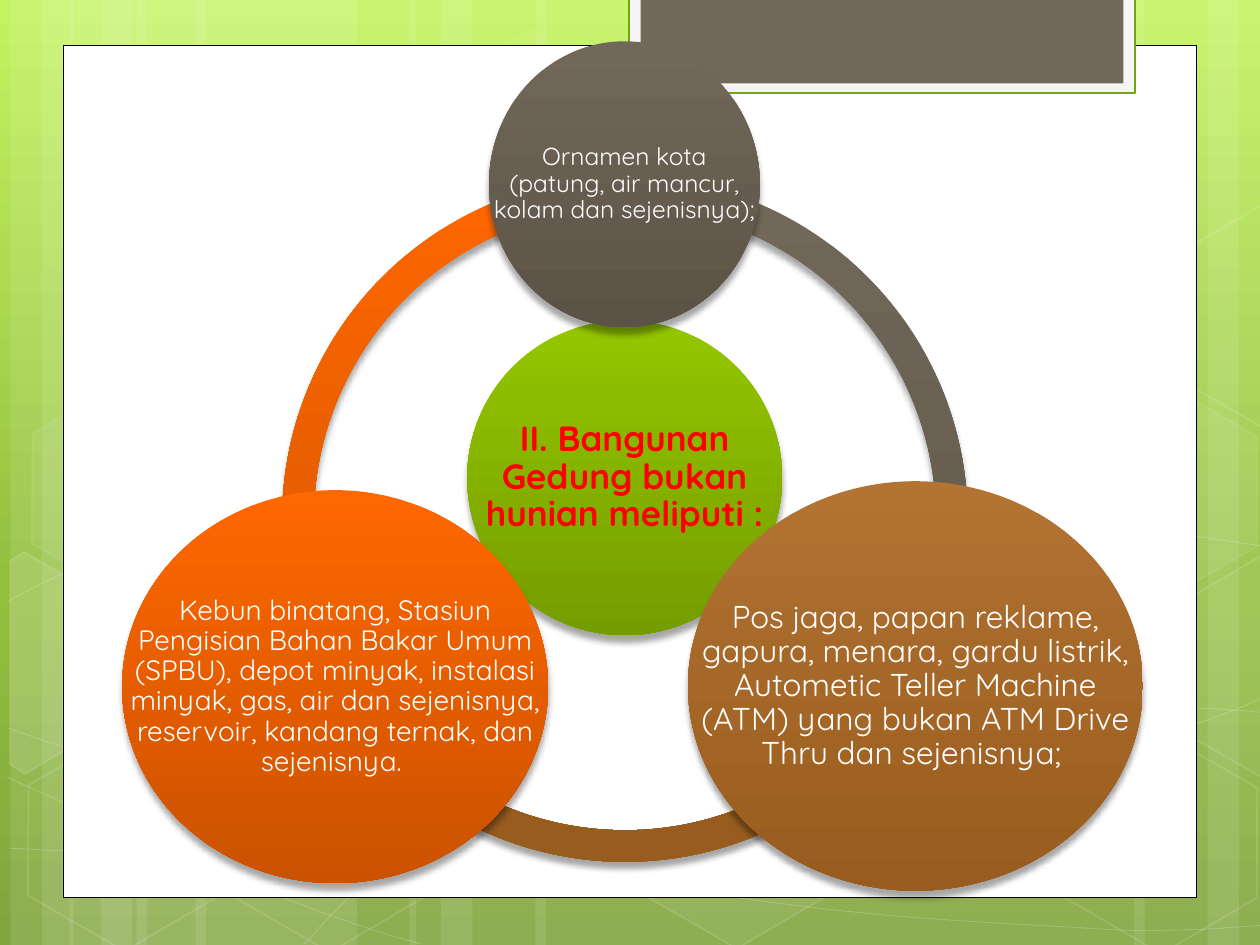
import pptx
import pptx.util
import pptx.dml.color
import pptx.enum.shapes
import pptx.enum.text
import copy
import math
import lxml.etree

Pt = pptx.util.Pt
RGBColor = pptx.dml.color.RGBColor
KIND = pptx.enum.shapes.MSO_SHAPE
A = "{http://schemas.openxmlformats.org/drawingml/2006/main}"

WHITE = RGBColor(0xFF, 0xFF, 0xFF)
BLACK = RGBColor(0, 0, 0)
RED = RGBColor(0xFF, 0, 0)
PALE = RGBColor(0xF5, 0xF5, 0xF5)
EDGE = RGBColor(0x74, 0xA5, 0x10)
STONE = RGBColor(0x71, 0x68, 0x5A)
GRAY = (STONE, RGBColor(0x5C, 0x53, 0x46))
BROWN = (RGBColor(0xB2, 0x73, 0x33), RGBColor(0x98, 0x5C, 0x1E))
ORANGE = (RGBColor(0xFF, 0x67, 0), RGBColor(0xCB, 0x52, 0))
GREEN = (RGBColor(0x94, 0xC6, 0), RGBColor(0x76, 0x9D, 0))
BACK = (RGBColor(0xC3, 0xF3, 0x5F), RGBColor(0x93, 0xBF, 0x3F), RGBColor(0x81, 0xA5, 0x3E))

BANDS = [(78, 126, 0), (6, 36, 0), (24, 60, 0), (111.6, 126, 0), (39.6, 36, 0), (57.6, 60, 0),
         (528, 126, 180), (690, 36, 180), (648, 60, 180), (306, 222, 0), (234, 36, 0),
         (252, 60, 0)]

WAVES = [
    [(5, 484.6), (43.9, 486.7), (82.8, 488.9), (136.8, 488.2), (190.8, 487.4), (257.8, 486),
     (329.8, 478.8), (401.8, 471.6), (504, 457.9), (570.2, 444.2), (635.8, 430.6),
     (703.4, 409), (725, 396.7)],
    [(5, 343.4), (25.9, 332), (46.8, 321.1), (87.1, 310.3), (128.2, 299.5), (186.5, 283.7),
     (249.8, 278.6), (313.9, 273.6), (391.7, 272.9), (470.9, 278.6), (550.1, 284.4),
     (681.8, 306.7), (725, 312.5)],
    [(4.3, 444.2), (91.4, 483.8), (177.8, 523.4), (240.5, 539.3)],
    [(5, 416.2), (27.4, 424.1), (50.4, 432), (92.2, 443.5), (133.9, 454.3), (196.6, 472.3),
     (257, 484.6), (316.8, 496.8), (392.4, 509.8), (452.2, 517), (511.9, 524.9), (576, 527.8),
     (614.2, 529.9), (651.6, 532.8), (661.7, 531.4), (680.4, 531.4), (699.1, 530.6),
     (712.1, 529.2), (725, 528.5)],
    [(174.2, 539.3), (187.2, 524.9), (200.2, 510.5), (217.4, 497.5), (234.7, 484.6),
     (259.2, 470.2), (279.4, 460.1), (299.5, 450), (311.8, 445.7), (338.4, 438.5),
     (364.3, 431.3), (412.6, 421.2), (437.8, 416.2), (463.7, 411.1), (467.3, 411.1),
     (489.6, 409.7), (511.9, 407.5), (547.2, 405.4), (571.7, 404.6), (596.9, 403.9),
     (637.9, 404.6), (637.9, 404.6), (654, 404.6), (670, 404.6), (686.2, 404.6),
     (699.1, 405.4), (711.4, 406.1), (717.8, 406.8), (724.3, 407.5), (722.2, 406.8),
     (724.3, 407.5)],
]

HEXES = [(240.5, 25.9, 4, 8), (357.8, 424.1, 6, 12), (7.9, 425.5, 0, 12), (10.1, 224.6, 7, 8),
         (125.3, 426.2, 0, 12), (542.2, 326.2, 10, 12), (600.5, 427, 0, 12), (600.5, 226.1, 7, 8)]

LEFT = [(5.8, 320.4), (13.7, 315.4), (69.1, 347), (68.4, 410.4), (14.4, 442.1), (5.8, 437)]
RIGHT = [(666.7, 349.2), (720.7, 317.5), (726.5, 321.1), (726.5, 441.4), (721.4, 444.2),
         (666.7, 412.6)]
UPPER = [(x, y - 200.2) for x, y in RIGHT]
PARTS = [(LEFT, (25.9, 385.2), 10), (RIGHT, (709.2, 374.4), 4), (UPPER, (709.2, 174.2), 0)]

ARCS = [(150, 270, ORANGE), (30, 150, BROWN), (270, 30, GRAY)]

DISCS = [
    ((267, 183, 180, 180), GREEN, 20, RED, True, 2.2, "II. Bangunan Gedung bukan hunian meliputi :"),
    ((279.4, 23.6, 154.8, 163.4), GRAY, 14, WHITE, False, 1.4,
     "Ornamen kota (patung, air mancur, kolam dan sejenisnya); "),
    ((393.1, 275, 259.9, 234), BROWN, 18, WHITE, False, 1.8,
     "Pos jaga, papan reklame, gapura, menara, gardu listrik, Autometic Teller Machine (ATM) "
     "yang bukan ATM Drive Thru dan sejenisnya; "),
    ((69.8, 280.1, 243.4, 224.6), ORANGE, 16, WHITE, False, 1.6,
     "Kebun binatang, Stasiun Pengisian Bahan Bakar Umum (SPBU), depot minyak, instalasi "
     "minyak, gas, air dan sejenisnya, reservoir, kandang ternak, dan sejenisnya. "),
]


def fade(fill, part):
    if part < 100:
        tone = fill._xPr.find(f".//{A}srgbClr")
        lxml.etree.SubElement(tone, A + "alpha", val=str(part * 1000))


def paint(shape, fill=None, part=100, line=None, width=1, clear=100):
    shape.shadow.inherit = False
    if fill is None:
        shape.fill.background()
    else:
        shape.fill.solid()
        shape.fill.fore_color.rgb = fill
        fade(shape.fill, part)
    if line is None:
        shape.line.fill.background()
    else:
        shape.line.color.rgb = line
        shape.line.width = Pt(width)
        fade(shape.line.fill, clear)


def blend(fill, tones, spots):
    fill.gradient()
    fill.gradient_angle = 270
    stops = fill._xPr.find(f".//{A}gsLst")
    while len(stops) < len(tones):
        stops.append(copy.deepcopy(stops[-1]))
    for stop, tone, spot in zip(fill.gradient_stops, tones, spots):
        stop.color.rgb = tone
        stop.position = spot


def add(slide, kind, box):
    return slide.shapes.add_shape(kind, *map(Pt, box))


def trace(slide, points, close):
    spots = [(Pt(x), Pt(y)) for x, y in points]
    pen = slide.shapes.build_freeform(*spots[0])
    pen.add_line_segments(spots[1:], close=close)
    return pen.convert_to_shape()


def curve(slide, knots):
    shape = trace(slide, knots, False)
    lines = list(shape._element.iter(A + "lnTo"))
    for i in range(0, len(lines), 3):
        bend = lxml.etree.Element(A + "cubicBezTo")
        lines[i].addprevious(bend)
        for line in lines[i:i + 3]:
            bend.append(line[0])
            line.getparent().remove(line)
    return shape


def tilt(slide, points, mid, angle=30):
    cos, sin = math.cos(math.radians(angle)), math.sin(math.radians(angle))
    flat = []
    for x, y in points:
        across, down = x - mid[0], y - mid[1]
        flat.append((mid[0] + across * cos + down * sin, mid[1] + down * cos - across * sin))
    shape = trace(slide, flat, True)
    shape.rotation = angle
    return shape


def raise_up(shape, tones):
    blend(shape.fill, tones, (0, 1))
    shape.line.fill.background()
    shape.shadow.inherit = False
    glow = shape._element.spPr.find(A + "effectLst")
    cast = lxml.etree.SubElement(glow, A + "outerShdw", blurRad=str(Pt(3.5)), dist=str(Pt(4)),
                                 dir="5400000", rotWithShape="0")
    tone = lxml.etree.SubElement(cast, A + "srgbClr", val=str(BLACK))
    lxml.etree.SubElement(tone, A + "alpha", val="34000")


def label(slide, box, text, size, tone, bold, inset):
    frame = slide.shapes.add_textbox(*map(Pt, box)).text_frame
    frame.word_wrap = True
    frame.vertical_anchor = pptx.enum.text.MSO_ANCHOR.MIDDLE
    frame.margin_left = frame.margin_right = Pt(inset)
    frame.margin_top = frame.margin_bottom = Pt(inset)
    line = frame.paragraphs[0]
    line.text = text
    line.alignment = pptx.enum.text.PP_ALIGN.CENTER
    line.line_spacing = 0.9
    line.font.name = "Quicksand"
    line.font.size = Pt(size)
    line.font.bold = bold
    line.font.color.rgb = tone


def backdrop(slide):
    blend(slide.background.fill, BACK, (0, 0.62, 1))
    for left, width, turn in BANDS:
        band = add(slide, KIND.RECTANGLE, (left, 0, width, 540))
        band.rotation = turn
        paint(band, WHITE, 10)
    for knots in WAVES:
        paint(curve(slide, knots), line=WHITE, width=0.5, clear=20)
    for left, top, part, clear in HEXES:
        hexa = add(slide, KIND.HEXAGON, (left, top, 126, 109.4))
        hexa.rotation = 30
        hexa.adjustments[0] = 0.285
        hexa.adjustments[1] = 1.155
        paint(hexa, WHITE if part else None, part, WHITE, 1, clear)
    for points, mid, part in PARTS:
        paint(tilt(slide, points, mid), WHITE if part else None, part, WHITE, 1, 12)


def panel(slide):
    paint(add(slide, KIND.RECTANGLE, (36, 25.9, 648, 486.7)), WHITE, line=BLACK, width=0.5)
    paint(add(slide, KIND.RECTANGLE, (359.3, -1.4, 289.4, 54.7)), PALE, line=EDGE, width=1.25)
    paint(add(slide, KIND.RECTANGLE, (366, -1.4, 276, 49)), STONE)


def ring(slide):
    for start, end, tones in ARCS:
        arc = add(slide, KIND.BLOCK_ARC, (161.3, 100.8, 391.7, 391.7))
        arc.adjustments[0] = start * 0.6
        arc.adjustments[1] = end * 0.6
        arc.adjustments[2] = 0.046
        raise_up(arc, tones)


def main():
    deck = pptx.Presentation()
    deck.slide_width, deck.slide_height = Pt(720), Pt(540)
    slide = deck.slides.add_slide(deck.slide_layouts[6])
    backdrop(slide)
    panel(slide)
    ring(slide)
    for box, tones, size, tone, bold, inset, text in DISCS:
        raise_up(add(slide, KIND.OVAL, box), tones)
        label(slide, box, text, size, tone, bold, inset)
    deck.save("out.pptx")


if __name__ == "__main__":
    main()
